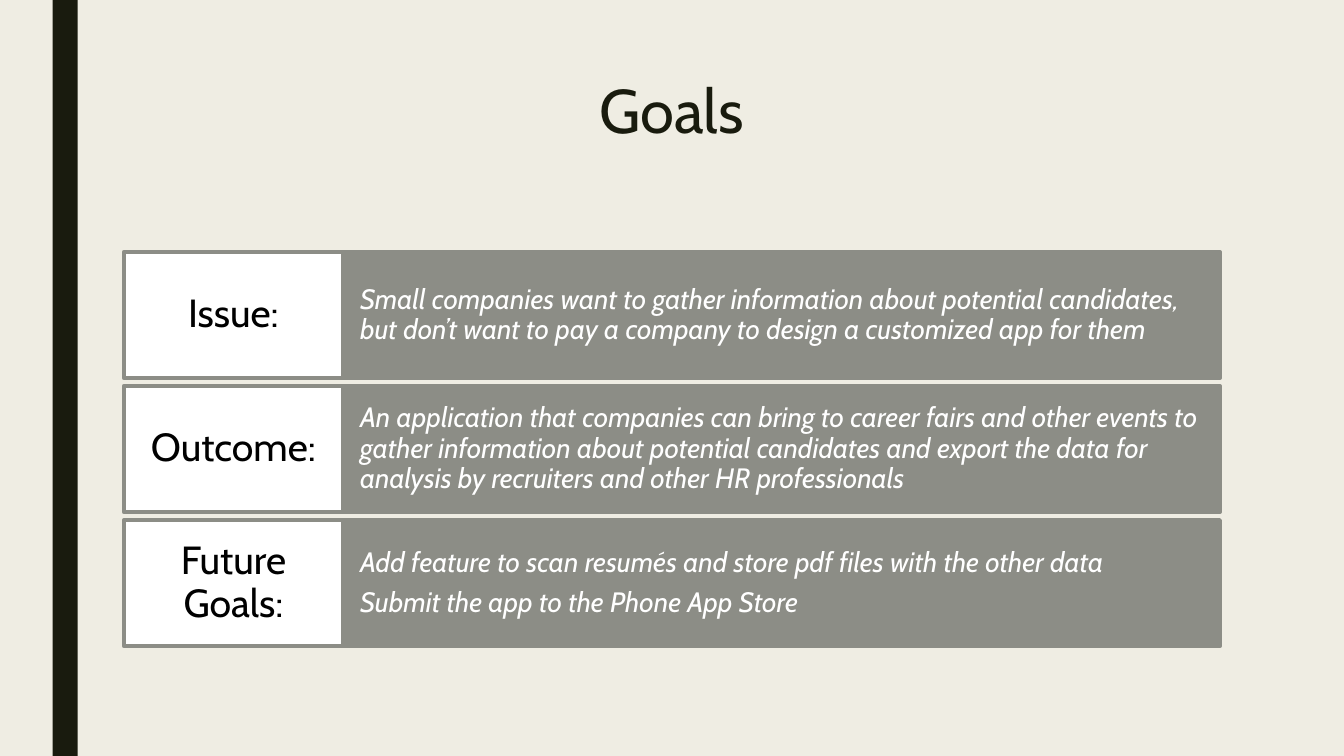
from pptx import Presentation
from pptx import util as u
from pptx.dml import color
from pptx.enum import shapes, text

FONT = "Cabin"
DARK = "191B0E"
GRAY = "8C8D86"
WHITE = "FFFFFF"

GOALS = [
    ("Issue:", ["Small companies want to gather information about potential candidates, "
                "but don’t want to pay a company to design a customized app for them"]),
    ("Outcome:", ["An application that companies can bring to career fairs and other events to "
                  "gather information about potential candidates and export the data for "
                  "analysis by recruiters and other HR professionals"]),
    ("Future Goals:", ["Add feature to scan resumés and store pdf files with the other data",
                       "Submit the app to the Phone App Store"]),
]


def rgb(value):
    return color.RGBColor.from_string(value)


def write_text(shape, lines, size, hex_color, italic=False, centered=True,
               middle=True, spacing=0.9, after=0, insets=(7.2, 3.6)):
    frame = shape.text_frame
    frame.word_wrap = True
    frame.vertical_anchor = text.MSO_ANCHOR.MIDDLE if middle else text.MSO_ANCHOR.TOP
    frame.margin_left = frame.margin_right = u.Pt(insets[0])
    frame.margin_top = frame.margin_bottom = u.Pt(insets[1])
    for index, line in enumerate(lines):
        paragraph = frame.add_paragraph() if index else frame.paragraphs[0]
        paragraph.alignment = text.PP_ALIGN.CENTER if centered else text.PP_ALIGN.LEFT
        paragraph.line_spacing = spacing
        paragraph.space_after = u.Pt(after)
        run = paragraph.add_run()
        run.text = line
        run.font.name = FONT
        run.font.size = u.Pt(size)
        run.font.italic = italic
        run.font.color.rgb = rgb(hex_color)


def add_rectangle(slide, left, top, width, height, fill, line=None):
    shape = slide.shapes.add_shape(shapes.MSO_SHAPE.RECTANGLE, u.Pt(left), u.Pt(top),
                                   u.Pt(width), u.Pt(height))
    shape.shadow.inherit = False
    shape.fill.solid()
    shape.fill.fore_color.rgb = rgb(fill)
    if line:
        shape.line.color.rgb = rgb(line)
        shape.line.width = u.Pt(2.75)
    else:
        shape.line.fill.background()
    return shape


def add_title(slide, title, left, top, width, height):
    box = slide.shapes.add_textbox(u.Pt(left), u.Pt(top), u.Pt(width), u.Pt(height))
    write_text(box, [title], 44, DARK, middle=False, spacing=0.89)


def add_goal_row(slide, label, descriptions, left, top, width, height):
    label_width = width / 5
    description_box = add_rectangle(slide, left + label_width, top, width - label_width,
                                    height, GRAY, GRAY)
    write_text(description_box, descriptions, 20, WHITE, italic=True, centered=False,
               after=7, insets=(12.2, 22.9))
    label_box = add_rectangle(slide, left, top, label_width, height, WHITE, GRAY)
    write_text(label_box, [label], 28, "000000", after=9.8, insets=(8.3, 8.3))


def add_goals(slide, goals, left, top, width, height, gap):
    row_height = (height - gap * (len(goals) - 1)) / len(goals)
    for index, (label, descriptions) in enumerate(goals):
        add_goal_row(slide, label, descriptions, left, top + index * (row_height + gap),
                     width, row_height)


def main():
    presentation = Presentation()
    presentation.slide_width = u.Pt(960)
    presentation.slide_height = u.Pt(540)
    slide = presentation.slides.add_slide(presentation.slide_layouts[6])
    slide.background.fill.solid()
    slide.background.fill.fore_color.rgb = rgb("EFEDE3")
    add_rectangle(slide, 37.5, 0, 18, 540, DARK)
    add_title(slide, "Goals", 50.4, 54, 859, 116.6)
    add_goals(slide, GOALS, 88.4, 180, 783, 281.6, 5.6)
    presentation.save("out.pptx")


if __name__ == "__main__":
    main()
